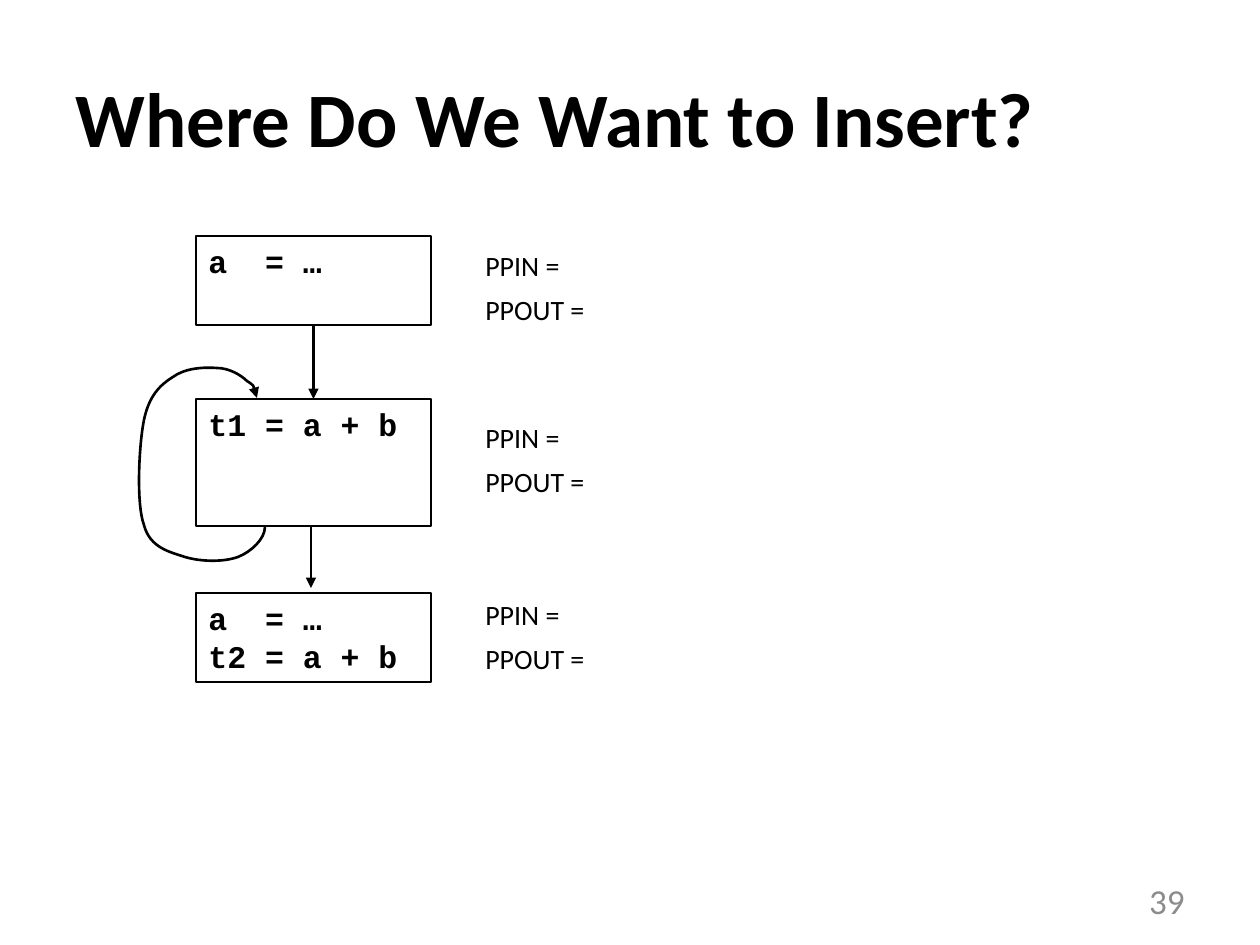
from lxml import etree
from pptx import Presentation
from pptx.dml.color import RGBColor
from pptx.enum.shapes import MSO_CONNECTOR, MSO_SHAPE
from pptx.enum.text import MSO_ANCHOR, PP_ALIGN
from pptx.oxml.ns import qn
from pptx.util import Pt

LINE, RECT = MSO_CONNECTOR.STRAIGHT, MSO_SHAPE.RECTANGLE
TOP, MIDDLE = MSO_ANCHOR.TOP, MSO_ANCHOR.MIDDLE
LEFT, RIGHT = PP_ALIGN.LEFT, PP_ALIGN.RIGHT
PX = 914400 / 126
BLACK, GREY = "000000", "8C8C8C"

TITLE = "Where Do We Want to Insert?"
NUMBER = "39"
LABELS = "PPIN =\nPPOUT ="
BOX_X, BOX_W = 196, 235
LABEL_X, LABEL_W, LABEL_H = 473, 126, 91
# code, box top, box height, label top
BLOCKS = [
    ("a  = …", 236, 89, 242),
    ("t1 = a + b", 399, 127, 414),
    ("a  = …\nt2 = a + b", 593, 89, 591),
]
EXIT = (311, 526, 311, 588)
# start point, then three points for each Bézier segment
LOOP = [
    (265, 527),
    (265, 539), (251, 552), (238, 557),
    (224, 562), (202, 562), (185, 557),
    (170, 552), (150, 548), (144, 525),
    (136, 503), (139, 445), (144, 420),
    (149, 396), (160, 385), (173, 377),
    (185, 368), (204, 367), (217, 368),
    (229, 368), (241, 375), (247, 381),
    (255, 386), (256, 392), (257, 398),
]


def emu(*nums):
    return [round(n * PX) for n in nums]


def color(text):
    return RGBColor.from_string(text)


def write(shape, text, size, font="Calibri", bold=False, ink=BLACK,
          anchor=TOP, align=LEFT, gap=0, wrap=True):
    frame = shape.text_frame
    frame.text = text
    frame.word_wrap = wrap
    frame.vertical_anchor = anchor
    for para in frame.paragraphs:
        para.alignment = align
        para.space_before = Pt(gap)
        for run in para.runs:
            run.font.name, run.font.size = font, Pt(size)
            run.font.bold = bold
            run.font.color.rgb = color(ink)


def stroke(shape, width):
    shape.line.color.rgb = color(BLACK)
    shape.line.width = Pt(width)


def arrow(shape):
    """Style a line with an arrowhead at its end and no shadow."""
    stroke(shape, 1.5)
    etree.SubElement(shape.line._get_or_add_ln(), qn("a:tailEnd"), type="triangle")
    props = shape._element.spPr
    if props.find(qn("a:effectLst")) is None:
        etree.SubElement(props, qn("a:effectLst"))


def curve(shapes, points):
    """Draw an open outline whose points after the first are Bézier triples."""
    start, *rest = points
    build = shapes.build_freeform(*start, scale=PX)
    build.add_line_segments(rest, close=False)
    shape = build.convert_to_shape()
    route = shape._element.find(".//" + qn("a:path"))
    route.set("fill", "none")
    steps = route.findall(qn("a:lnTo"))
    for i in range(0, len(steps), 3):
        bend = etree.SubElement(route, qn("a:cubicBezTo"))
        for step in steps[i:i + 3]:
            bend.append(step[0])
            route.remove(step)
    shape.fill.background()
    shape.shadow.inherit = False
    return shape


def main():
    deck = Presentation()
    deck.slide_width, deck.slide_height = emu(1260, 945)
    shapes = deck.slides.add_slide(deck.slide_layouts[6]).shapes

    title = shapes.add_textbox(*emu(63, 38, 1134, 158))
    write(title, TITLE, 44, bold=True, anchor=MIDDLE)
    number = shapes.add_textbox(*emu(903, 876, 294, 50))
    write(number, NUMBER, 20, ink=GREY, anchor=MIDDLE, align=RIGHT)

    boxes = []
    for code, top, high, label_top in BLOCKS:
        box = shapes.add_shape(RECT, *emu(BOX_X, top, BOX_W, high))
        box.shadow.inherit = False
        box.fill.background()
        stroke(box, 1)
        write(box, code, 18, font="Courier New", bold=True)
        boxes.append(box)
        label = shapes.add_textbox(*emu(LABEL_X, label_top, LABEL_W, LABEL_H))
        write(label, LABELS, 16, gap=6, wrap=False)

    entry = shapes.add_connector(LINE, 0, 0, 0, 0)
    entry.begin_connect(boxes[0], 2)
    entry.end_connect(boxes[1], 0)
    arrow(entry)
    arrow(shapes.add_connector(LINE, *emu(*EXIT)))
    arrow(curve(shapes, LOOP))

    deck.save("out.pptx")


if __name__ == "__main__":
    main()
